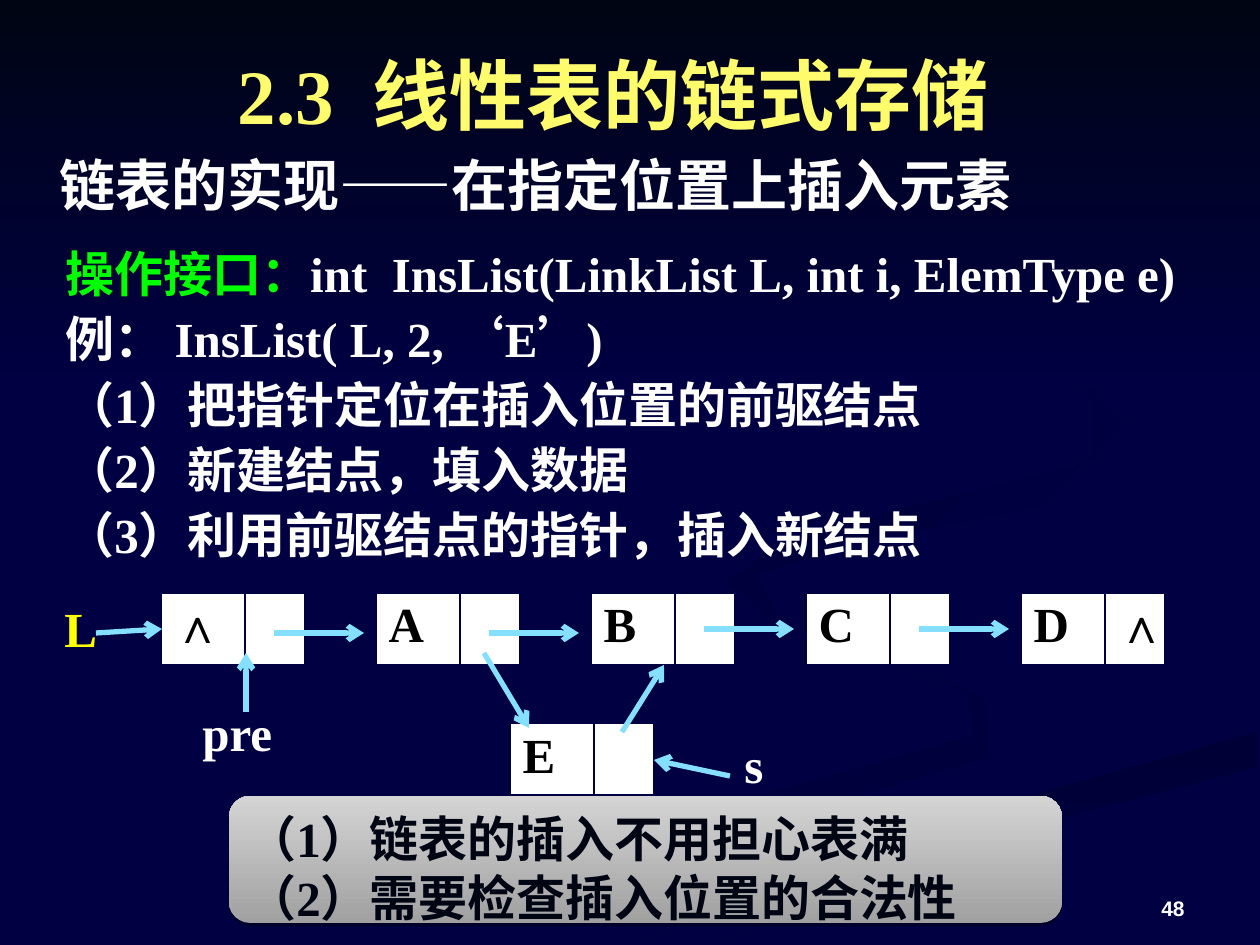
import pptx
import pptx.dml.color
import pptx.enum.shapes
import pptx.enum.text
import pptx.oxml
import pptx.oxml.ns
import pptx.util

SCALE = 914400 / 126
NAVY, WHITE, ARROW_BLUE = "000042", "FFFFFF", "85E0FF"
SERIF, SANS = "Times New Roman", "Arial"
ALIGN = pptx.enum.text.PP_ALIGN
ANCHOR = pptx.enum.text.MSO_ANCHOR
SHAPE = pptx.enum.shapes.MSO_SHAPE
NAMESPACE = pptx.oxml.ns.nsdecls("a")

RIBBONS = [
    (NAVY, "00003C", 0, [
        (984, 697), (759, 617), (718, 595), (770, 624), (966, 689), (975, 735), (679, 818), (378, 944),
        (455, 944), (711, 838), (990, 757)]),
    ("000036", NAVY, 90, [(634, 944), (719, 944), (947, 847), (1257, 767), (1257, 732), (963, 815)]),
    ("000038", NAVY, 45, [
        (861, 542), (1040, 507), (1125, 422), (960, 294), (1095, 377), (1096, 460), (788, 537), (727, 582),
        (784, 630), (757, 575)]),
]


def px(length):
    return pptx.util.Emu(round(length * SCALE))


def rgb(colour):
    return pptx.dml.color.RGBColor.from_string(colour)


def place(shape, box):
    shape.left, shape.top, shape.width, shape.height = map(px, box)


def style_run(run, size, colour, font=SERIF):
    run.font.size, run.font.bold, run.font.name = pptx.util.Pt(size), True, font
    run.font.color.rgb = rgb(colour)


def write(text_frame, text, size, colour, font=SERIF, align=ALIGN.LEFT):
    text_frame.text = text
    for paragraph in text_frame.paragraphs:
        paragraph.alignment = align
        for run in paragraph.runs:
            style_run(run, size, colour, font)


def fill_gradient(shape, start, end, angle):
    shape.fill.gradient()
    shape.fill.gradient_angle = (360 - angle) % 360
    for stop, colour, position in zip(shape.fill.gradient_stops, (start, end), (0, 1)):
        stop.color.rgb, stop.position = rgb(colour), position
    shape.line.fill.background()
    shape.shadow.inherit = False


def add_background(slide, width, band_height):
    slide.background.fill.solid()
    slide.background.fill.fore_color.rgb = rgb(NAVY)
    for start, end, angle, points in RIBBONS:
        builder = slide.shapes.build_freeform(*points[0], scale=SCALE)
        builder.add_line_segments(points[1:], close=True)
        fill_gradient(builder.convert_to_shape(), start, end, angle)
    band = slide.shapes.add_shape(SHAPE.RECTANGLE, 0, 0, px(width), px(band_height))
    fill_gradient(band, "000514", NAVY, 90)


def add_label(slide, box, text, size=28, colour=WHITE, wrap=False, anchor=ANCHOR.TOP,
              font=SERIF, align=ALIGN.LEFT):
    label = slide.shapes.add_textbox(*map(px, box))
    label.text_frame.word_wrap = wrap
    label.text_frame.vertical_anchor = anchor
    write(label.text_frame, text, size, colour, font, align)
    return label


def fill_title(slide, box):
    title = slide.shapes.title
    place(title, box)
    title.text_frame.vertical_anchor = ANCHOR.MIDDLE
    title.text_frame.auto_size = pptx.enum.text.MSO_AUTO_SIZE.NONE
    write(title.text_frame, "2.3  线性表的链式存储 ", 44, "FEFB6D", align=ALIGN.CENTER)


def add_subtitle(slide, box):
    subtitle = add_label(slide, box, "链表的实现", 32, wrap=True, anchor=ANCHOR.MIDDLE)
    run = subtitle.text_frame.paragraphs[0].add_run()
    run.text = "——在指定位置上插入元素"
    style_run(run, 32, WHITE, SANS)


def fill_body(slide, box):
    body = slide.placeholders[1]
    place(body, box)
    text_frame = body.text_frame
    text_frame.auto_size = pptx.enum.text.MSO_AUTO_SIZE.NONE
    lines = ["操作接口：", "例： InsList( L, 2, ‘E’)", "（1）把指针定位在插入位置的前驱结点",
             "（2）新建结点，填入数据", "（3）利用前驱结点的指针，插入新结点"]
    write(text_frame, "\n".join(lines), 28, WHITE)
    for paragraph in text_frame.paragraphs:
        paragraph.line_spacing, paragraph.space_before = 0.9, pptx.util.Pt(7)
        properties = paragraph._p.get_or_add_pPr()
        properties.set("marL", "0")
        properties.set("indent", "0")
        properties.append(pptx.oxml.parse_xml(f"<a:buNone {NAMESPACE}/>"))
    heading = text_frame.paragraphs[0]
    heading.runs[0].font.color.rgb = rgb("00FF00")
    signature = heading.add_run()
    signature.text = "int  InsList(LinkList L, int i, ElemType e)"
    style_run(signature, 28, WHITE)


def add_node(slide, left, top, data, pointer=""):
    table = slide.shapes.add_table(1, 2, px(left), px(top), px(144), px(72)).table
    table.first_row = table.horz_banding = False
    for column, width in zip(table.columns, (84, 60)):
        column.width = px(width)
    for cell, text in zip(table.rows[0].cells, (data, pointer)):
        for side in ("lnL", "lnR", "lnT", "lnB"):
            cell._tc.get_or_add_tcPr().append(pptx.oxml.parse_xml(
                f'<a:{side} {NAMESPACE} w="9525"><a:solidFill>'
                f'<a:srgbClr val="{NAVY}"/></a:solidFill></a:{side}>'))
        cell.fill.solid()
        cell.fill.fore_color.rgb = rgb(WHITE)
        if text:
            write(cell.text_frame, text, 28, "000000", SANS if text == "∧" else SERIF)


def add_arrow(slide, left, top, right, bottom):
    arrow = slide.shapes.add_connector(
        pptx.enum.shapes.MSO_CONNECTOR.STRAIGHT, *map(px, (left, top, right, bottom)))
    arrow.line.color.rgb, arrow.line.width = rgb(ARROW_BLUE), pptx.util.Pt(3)
    arrow.line._get_or_add_ln().append(pptx.oxml.parse_xml(f'<a:tailEnd {NAMESPACE} type="arrow"/>'))
    arrow._element.spPr.append(pptx.oxml.parse_xml(f"<a:effectLst {NAMESPACE}/>"))


def add_linked_list(slide, left, top):
    pitch = 215
    for index, data in enumerate("∧ABCD"):
        add_node(slide, left + 109 + pitch * index, top + 1, data, "∧" if data == "D" else "")
    add_node(slide, left + 458, top + 131, "E")
    for x, y, width, text, colour in [(0, 0, 57, "L", "FFFF00"), (138, 104, 110, "pre", WHITE),
                                      (680, 136, 49, "s", WHITE)]:
        add_label(slide, (left + x, top + y, width, 72), text, colour=colour)
    for index in range(4):
        start, level = left + 222 + pitch * index, top + (41 if index < 2 else 37)
        add_arrow(slide, start, level, start + 90, level)
    for x1, y1, x2, y2 in [(194, 120, 194, 61), (44, 41, 110, 37), (570, 140, 612, 73),
                           (432, 61, 477, 136), (678, 184, 602, 168)]:
        add_arrow(slide, left + x1, top + y1, left + x2, top + y2)


def add_callout(slide, box):
    callout = slide.shapes.add_shape(SHAPE.FLOWCHART_ALTERNATE_PROCESS, *map(px, box))
    fill_gradient(callout, "A1A1A1", "D4D4D4", 270)
    effects = callout._element.spPr.find(pptx.oxml.ns.qn("a:effectLst"))
    effects.append(pptx.oxml.parse_xml(
        f'<a:outerShdw {NAMESPACE} dist="22860" dir="5400000" rotWithShape="0">'
        '<a:srgbClr val="000000"><a:alpha val="35000"/></a:srgbClr></a:outerShdw>'))
    callout.text_frame.vertical_anchor = ANCHOR.TOP
    callout.text_frame.word_wrap = True
    write(callout.text_frame, "（1）链表的插入不用担心表满\n（2）需要检查插入位置的合法性", 28, "000514")


def main():
    presentation = pptx.Presentation()
    presentation.slide_width, presentation.slide_height = px(1260), px(945)
    slide = presentation.slides.add_slide(presentation.slide_layouts[1])
    add_background(slide, 1260, 388)
    for placeholder in list(slide.placeholders):
        slide.shapes._spTree.append(placeholder._element)
    fill_title(slide, (123, 50, 998, 88))
    add_subtitle(slide, (47, 147, 1021, 74))
    fill_body(slide, (53, 244, 1183, 89))
    add_linked_list(slide, 52, 592)
    add_callout(slide, (229, 796, 833, 127))
    add_label(slide, (903, 861, 294, 66), "48", 12, wrap=True, anchor=ANCHOR.BOTTOM,
              font=SANS, align=ALIGN.RIGHT)
    presentation.save("out.pptx")


if __name__ == "__main__":
    main()
